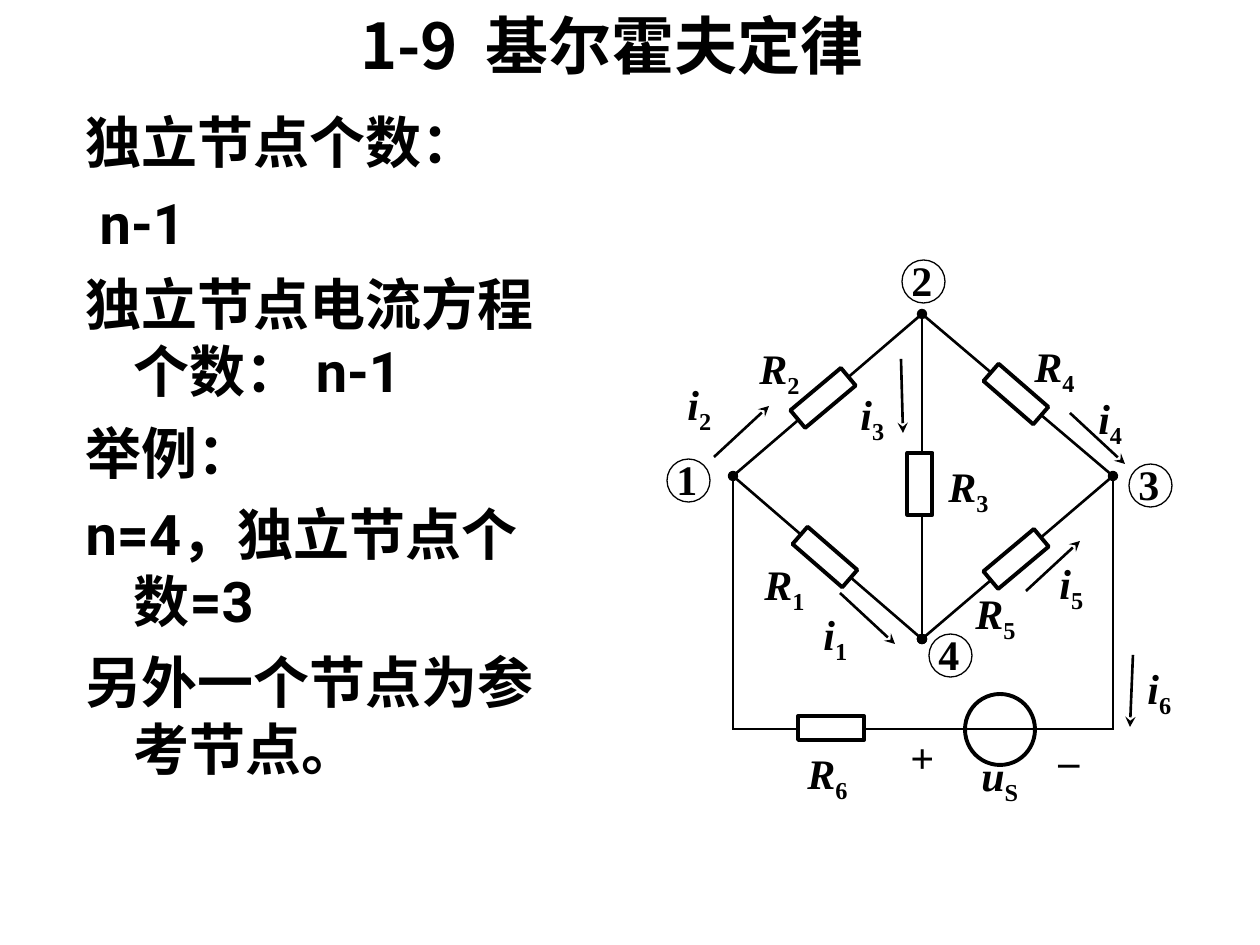
from pptx import Presentation
from pptx.util import Pt
from pptx.dml.color import RGBColor
from pptx.enum.shapes import MSO_CONNECTOR, MSO_SHAPE
from pptx.enum.text import MSO_ANCHOR, MSO_AUTO_SIZE, PP_ALIGN
from pptx.oxml.ns import qn
from lxml.etree import SubElement as Sub

PX = 914400 / 126  # EMU in one px
INK, PAPER = "000000", "FFFFFF"
SERIF = "Times New Roman"


def px(*nums):
    return [round(n * PX) for n in nums]


def paint(color, code):
    color.rgb = RGBColor.from_string(code)


prs = Presentation()
prs.slide_width, prs.slide_height = px(1260, 945)
slide = prs.slides.add_slide(prs.slide_layouts[1])
shapes = slide.shapes

# Title and list
title, body = slide.placeholders
for holder, box in ((title, (287, 0, 650, 88)), (body, (73, 101, 474, 706))):
    holder.left, holder.top, holder.width, holder.height = px(*box)
    holder.text_frame.auto_size = MSO_AUTO_SIZE.NONE

title.text_frame.vertical_anchor = MSO_ANCHOR.MIDDLE
para = title.text_frame.paragraphs[0]
para.alignment = PP_ALIGN.CENTER
for words in ("1-9", " ", "基尔霍夫定律"):
    run = para.add_run()
    run.text = words
    font = run.font
    font.name, font.size, font.bold = "Noto Sans CJK SC", Pt(36), True
    paint(font.color, INK)
    props = run._r.get_or_add_rPr()
    Sub(props, qn("a:ea")).set("typeface", "Noto Sans CJK SC")
    if words == " ":
        props.set("spc", "800")  # widens the gap after the number

items = [
    ("独立节点个数：", -48),
    ("n-1", -34),
    ("独立节点电流方程个数： n-1", -48),
    ("举例：", -48),
    ("n=4，独立节点个数=3", -48),
    ("另外一个节点为参考节点。", -48),
]
frame = body.text_frame
for num, (words, indent) in enumerate(items):
    para = frame.add_paragraph() if num else frame.paragraphs[0]
    run = para.add_run()
    run.text = words
    props = para._p.get_or_add_pPr()
    props.set("marL", str(px(48)[0]))
    props.set("indent", str(px(indent)[0]))
    Sub(props, qn("a:buNone"))
    para.space_before = Pt(8 if num else 0)
    font = run.font
    font.name, font.size, font.bold = "Roboto", Pt(32), True
    paint(font.color, INK)
    Sub(run._r.get_or_add_rPr(), qn("a:ea")).set("typeface", "Roboto")

# Wires, then current arrows: ends, head, tail
left, top, right, base = (733, 476), (922, 314), (1113, 476), (922, 639)
wires = [
    (top + base, "oval", "oval"),
    (top + right, None, None),
    (left + base, "oval", "oval"),
    (right + base, "oval", "oval"),
    (top + left, None, None),
    (left + (733, 730), None, None),
    (right + (1113, 730), None, None),
    ((733, 729, 1113, 729), None, None),
]
arrows = [
    (714, 457, 769, 406),
    (1026, 591, 1080, 541),
    (840, 593, 895, 644),
    (1070, 413, 1125, 464),
    (901, 359, 903, 433),
    (1133, 655, 1130, 727),
]
for ends, head, tail in wires + [(ends, None, "stealth") for ends in arrows]:
    wire = shapes.add_connector(MSO_CONNECTOR.STRAIGHT, *px(*ends))
    wire.line.width = Pt(1.5)
    paint(wire.line.color, INK)
    line = wire.line._get_or_add_ln()
    for tag, kind in (("a:headEnd", head), ("a:tailEnd", tail)):
        if kind:
            Sub(line, qn(tag)).set("type", kind)
    Sub(wire._element.spPr, qn("a:effectLst"))

# Resistors (centre, size, turn), the source and the node rings
nodes = {"1": (667, 459), "2": (902, 260), "3": (1129, 464), "4": (929, 634)}
RECT, OVAL = MSO_SHAPE.RECTANGLE, MSO_SHAPE.OVAL
parts = [
    (RECT, x - w / 2, y - h / 2, w, h, turn, 2.25)
    for x, y, w, h, turn in [
        (920, 484, 25, 62, 0),
        (823, 398, 23, 66, 50),
        (1016, 394, 23, 66, 311),
        (1016, 559, 23, 66, 50),
        (825, 557, 23, 66, 311),
        (831, 728, 24, 66, 90),
    ]
]
parts.append((OVAL, 965, 694, 70, 71, 0, 2.25))
parts += [(OVAL, x, y, 43, 43, 0, 0.75) for x, y in nodes.values()]
for kind, x, y, w, h, turn, width in parts:
    part = shapes.add_shape(kind, *px(x, y, w, h))
    part.rotation = turn
    part.shadow.inherit = False
    part.line.width = Pt(width)
    paint(part.line.color, INK)
    if kind == RECT:
        part.fill.solid()
        paint(part.fill.fore_color, PAPER)
    else:
        part.fill.background()

# Labels: letter, subscript, place
labels = [
    ("R", "1", 752, 552),
    ("R", "2", 747, 336),
    ("R", "3", 936, 454),
    ("R", "4", 1022, 334),
    ("R", "5", 963, 581),
    ("R", "6", 795, 741),
    ("i", "1", 811, 602),
    ("i", "2", 675, 372),
    ("i", "3", 848, 382),
    ("i", "4", 1086, 386),
    ("i", "5", 1047, 551),
    ("i", "6", 1135, 656),
    ("u", "S", 969, 743),
    ("+", "", 898, 725),
    ("–", "", 1046, 728),
]
labels += [(name, "", x - 3, y - 12) for name, (x, y) in nodes.items()]
for name, sub, x, y in labels:
    size = (73, 71) if sub else (54, 63)
    frame = shapes.add_textbox(*px(x, y, *size)).text_frame
    frame.word_wrap = True
    para = frame.paragraphs[0]
    run = para.add_run()
    run.text = name
    run.font.italic = bool(sub)
    if sub:
        run = para.add_run()
        run.text = sub
        run._r.get_or_add_rPr().set("baseline", "-25000")
    font = para.font
    font.name, font.size, font.bold = SERIF, Pt(24), True
    paint(font.color, INK)

prs.save("out.pptx")
